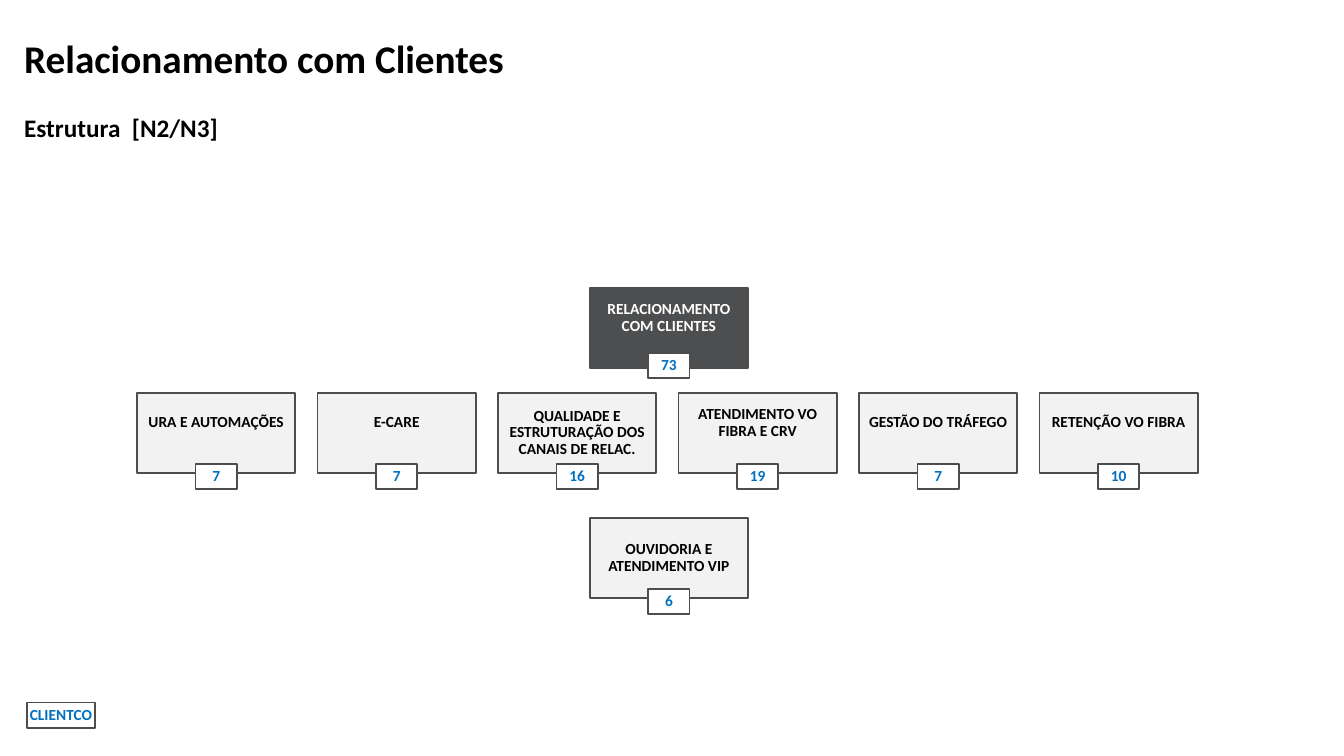
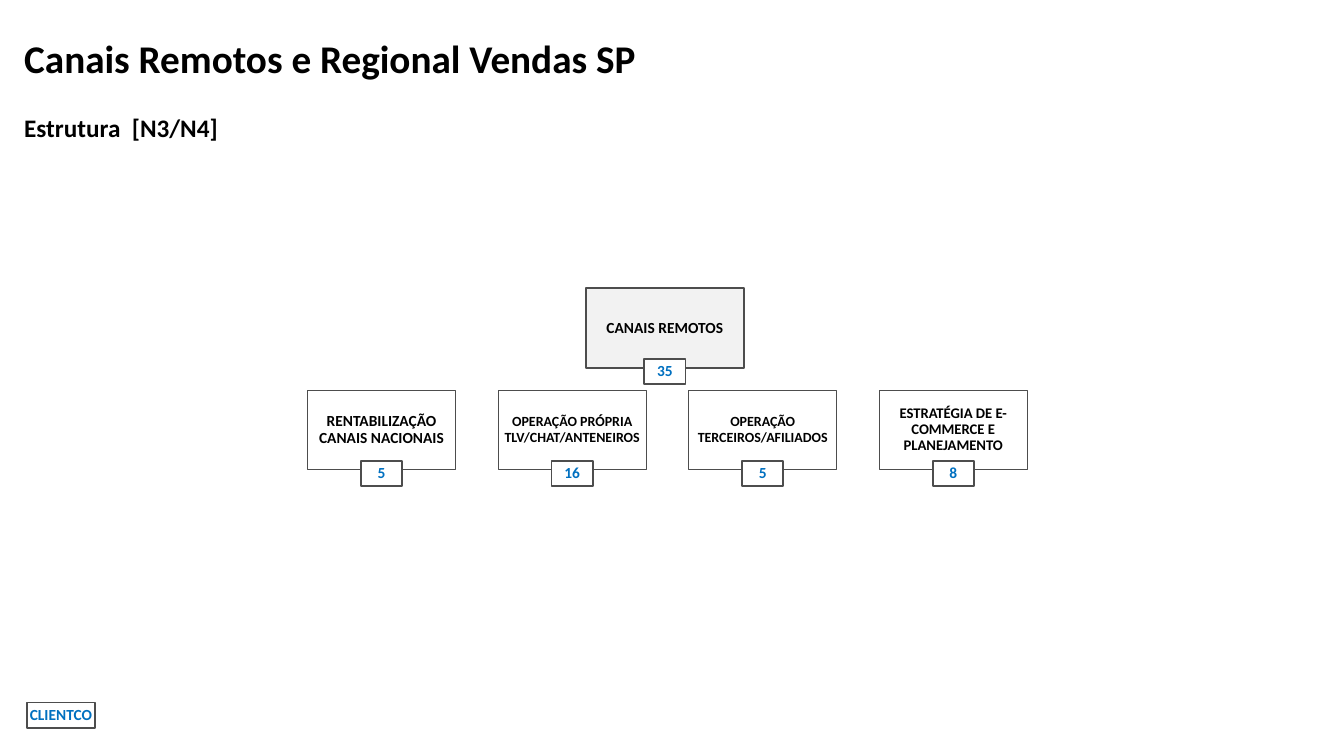
from lxml import etree
from pptx import Presentation
from pptx.dml.color import RGBColor
from pptx.enum.shapes import MSO_SHAPE
from pptx.enum.text import MSO_ANCHOR, MSO_AUTO_SIZE, PP_ALIGN
from pptx.oxml.ns import qn
from pptx.util import Inches, Pt

RECTANGLE = MSO_SHAPE.RECTANGLE
MIDDLE = MSO_ANCHOR.MIDDLE
NO_AUTOFIT = MSO_AUTO_SIZE.NONE
LEFT, CENTER = PP_ALIGN.LEFT, PP_ALIGN.CENTER

FONT = "Calibri"
COLORS = {
    "text": "000000",
    "white": "FFFFFF",
    "outline": "4D4D4D",
    "root": "4D4E50",
    "unit": "F2F2F2",
    "count": "0070C0",
}

SLIDE_WIDTH, SLIDE_HEIGHT = 13.33, 7.5
UNIT_WIDTH, UNIT_HEIGHT = 1.57, 0.79
TEAM_WIDTH = 1.47
COUNT_WIDTH, COUNT_HEIGHT = 0.41, 0.25
ROOT_TOP = 2.86
LABEL_LIFT = 0.2  # bottom inset that raises a label above its count


def rgb(name):
    return RGBColor.from_string(COLORS[name])


def style_font(paragraph, size, color="text"):
    font = paragraph.font
    font.name, font.size, font.bold = FONT, Pt(size), True
    font.color.rgb = rgb(color)


def add_box(slide, text, left, top, width, height, fill=None, color="text",
            size=11, border=1.25, lift=0):
    """Outlined rectangle with a centred bold label; no fill means see-through."""
    box = slide.shapes.add_shape(RECTANGLE, Inches(left), Inches(top),
                                 Inches(width), Inches(height))
    box.shadow.inherit = False
    if fill:
        box.fill.solid()
        box.fill.fore_color.rgb = rgb(fill)
    else:
        box.fill.background()
    box.line.color.rgb = rgb("outline")
    box.line.width = Pt(border)
    frame = box.text_frame
    frame.word_wrap = True
    frame.vertical_anchor = MIDDLE
    frame.margin_left = frame.margin_right = frame.margin_top = 0
    frame.margin_bottom = Inches(lift)
    paragraph = frame.paragraphs[0]
    paragraph.text = text
    paragraph.alignment = CENTER
    paragraph.line_spacing = 0.9
    style_font(paragraph, size, color)


def add_unit(slide, text, count, left, top, width=UNIT_WIDTH, overlap=0.09, **style):
    """Organisation box with its headcount straddling the bottom edge."""
    add_box(slide, text, left, top, width, UNIT_HEIGHT, **style)
    add_box(slide, count, left + (width - COUNT_WIDTH) / 2,
            top + UNIT_HEIGHT - overlap, COUNT_WIDTH, COUNT_HEIGHT,
            fill="white", color="count")


def fill_heading(placeholder, text, size, top, height):
    placeholder.left, placeholder.top = Inches(0.14), Inches(top)
    placeholder.width, placeholder.height = Inches(11.42), Inches(height)
    frame = placeholder.text_frame
    frame.text = text
    frame.word_wrap = True
    frame.auto_size = NO_AUTOFIT
    frame.vertical_anchor = MIDDLE
    paragraph = frame.paragraphs[0]
    paragraph.alignment = LEFT
    paragraph.space_before = Pt(0)
    properties = paragraph._p.get_or_add_pPr()
    properties.set("marL", "0")
    properties.set("indent", "0")
    etree.SubElement(properties, qn("a:buNone"))
    style_font(paragraph, size)


def add_page(deck, title, subtitle):
    page = deck.slides.add_slide(deck.slide_layouts[1])
    for placeholder in list(page.placeholders):
        if placeholder.placeholder_format.idx > 1:
            placeholder.element.getparent().remove(placeholder.element)
    fill_heading(page.shapes.title, title, 28, 0.27, 0.6)
    fill_heading(page.placeholders[1], subtitle, 18, 1.06, 0.4)
    add_box(page, "CLIENTCO", 0.27, 6.97, 0.67, COUNT_HEIGHT,
            fill="white", color="count")
    return page


def build_customer_page(deck):
    page = add_page(deck, "Relacionamento com Clientes", "Estrutura  [N2/N3]")
    center_left, row_left, row_step = 5.85, 1.36, 1.79
    add_unit(page, "RELACIONAMENTO COM CLIENTES", "73", center_left, ROOT_TOP,
             overlap=0.15, fill="root", color="white", lift=LABEL_LIFT)
    units = [
        ("URA E AUTOMAÇÕES", "7", LABEL_LIFT),
        ("E-CARE", "7", LABEL_LIFT),
        ("QUALIDADE E ESTRUTURAÇÃO DOS CANAIS DE RELAC.", "16", 0),
        ("ATENDIMENTO VO FIBRA E CRV", "19", LABEL_LIFT),
        ("GESTÃO DO TRÁFEGO", "7", LABEL_LIFT),
        ("RETENÇÃO VO FIBRA", "10", LABEL_LIFT),
    ]
    for column, (text, count, lift) in enumerate(units):
        add_unit(page, text, count, row_left + column * row_step, 3.9,
                 fill="unit", lift=lift)
    add_unit(page, "OUVIDORIA E ATENDIMENTO VIP", "6", center_left, 5.14, fill="unit")


def build_channels_page(deck):
    page = add_page(deck, "Canais Remotos e Regional Vendas SP", "Estrutura  [N3/N4]")
    row_left, row_step = 3.05, 1.89
    add_unit(page, "CANAIS REMOTOS", "35", 5.81, ROOT_TOP, fill="unit")
    teams = [
        ("RENTABILIZAÇÃO CANAIS NACIONAIS", "5", 11),
        ("OPERAÇÃO PRÓPRIA TLV/CHAT/ANTENEIROS", "16", 10),
        ("OPERAÇÃO TERCEIROS/AFILIADOS", "5", 10),
        ("ESTRATÉGIA DE E-COMMERCE E PLANEJAMENTO", "8", 10.5),
    ]
    for column, (text, count, size) in enumerate(teams):
        add_unit(page, text, count, row_left + column * row_step, 3.87,
                 width=TEAM_WIDTH, size=size, border=0.75)


def main():
    deck = Presentation()
    deck.slide_width, deck.slide_height = Inches(SLIDE_WIDTH), Inches(SLIDE_HEIGHT)
    build_customer_page(deck)
    build_channels_page(deck)
    deck.save("out.pptx")


if __name__ == "__main__":
    main()
